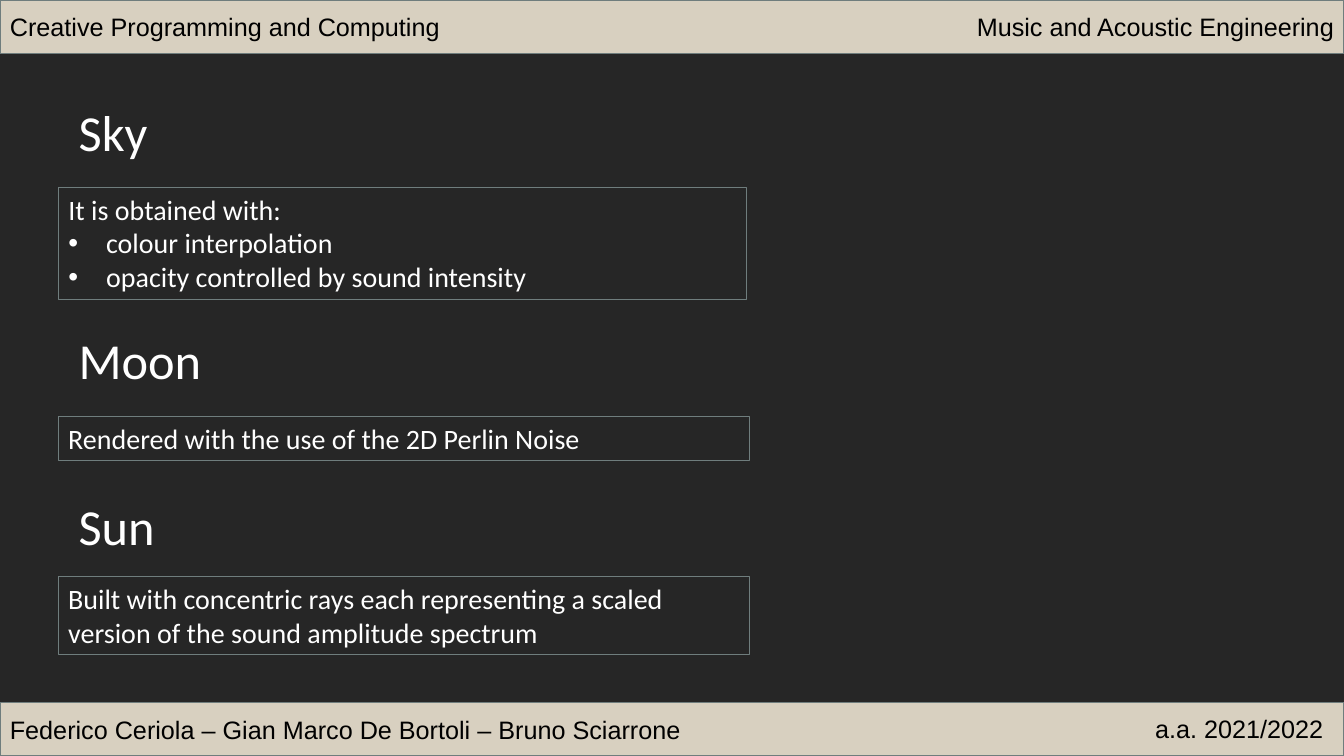
from lxml import etree
from pptx import Presentation
from pptx.dml.color import RGBColor
from pptx.enum.shapes import MSO_SHAPE
from pptx.enum.text import MSO_ANCHOR, MSO_AUTO_SIZE, PP_ALIGN
from pptx.oxml.ns import qn
from pptx.util import Cm, Pt

RECTANGLE = MSO_SHAPE.RECTANGLE
TOP, MIDDLE = MSO_ANCHOR.TOP, MSO_ANCHOR.MIDDLE
LEFT, RIGHT = PP_ALIGN.LEFT, PP_ALIGN.RIGHT
NO_AUTOFIT = MSO_AUTO_SIZE.NONE

DARK = RGBColor(0x26, 0x26, 0x26)
SAND = RGBColor(0xD8, 0xD0, 0xC0)
GREY = RGBColor(0x6F, 0x7D, 0x7D)
BLACK = RGBColor(0x00, 0x00, 0x00)
WHITE = RGBColor(0xFF, 0xFF, 0xFF)

SLIDE_WIDTH, SLIDE_HEIGHT = 33.87, 19.05
BAR_HEIGHT = 1.35
INDENT = Cm(0.95)


def write_text(shape, lines, font="Calibri", size=20, color=WHITE,
               align=LEFT, anchor=TOP, wrap=True):
    """Fill the shape with lines; those starting with "•" become bullets."""
    frame = shape.text_frame
    frame.auto_size = NO_AUTOFIT
    frame.word_wrap = wrap
    frame.vertical_anchor = anchor
    for index, line in enumerate(lines):
        paragraph = frame.paragraphs[0] if index == 0 else frame.add_paragraph()
        properties = paragraph._p.get_or_add_pPr()
        if line.startswith("•"):
            properties.set("marL", str(INDENT))
            properties.set("indent", str(-INDENT))
            etree.SubElement(properties, qn("a:buFont"), typeface="Arial")
            etree.SubElement(properties, qn("a:buChar"), char="•")
        else:
            properties.set("marL", "0")
            properties.set("indent", "0")
            etree.SubElement(properties, qn("a:buNone"))
        paragraph.alignment = align
        paragraph.space_before = Pt(0)
        run = paragraph.add_run()
        run.text = line.lstrip("• ")
        run.font.name = font
        run.font.size = Pt(size)
        run.font.color.rgb = color


def place(shape, left, top, width, height):
    shape.left, shape.top = Cm(left), Cm(top)
    shape.width, shape.height = Cm(width), Cm(height)


presentation = Presentation()
presentation.slide_width = Cm(SLIDE_WIDTH)
presentation.slide_height = Cm(SLIDE_HEIGHT)
slide = presentation.slides.add_slide(presentation.slide_layouts[1])
slide.background.fill.solid()
slide.background.fill.fore_color.rgb = DARK
shapes = slide.shapes

# Header and footer: bar top, left text, right text with its box
bars = [
    (SLIDE_HEIGHT - BAR_HEIGHT,
     "Federico Ceriola – Gian Marco De Bortoli – Bruno Sciarrone",
     "a.a. 2021/2022", (28.75, 17.86, 4.85, 1.02)),
    (0, "Creative Programming and Computing",
     "Music and Acoustic Engineering", (24.05, 0.15, 9.82, 1.02)),
]
for top, left_text, right_text, right_box in bars:
    bar = shapes.add_shape(RECTANGLE, Cm(0), Cm(top), Cm(SLIDE_WIDTH), Cm(BAR_HEIGHT))
    bar.shadow.inherit = False
    bar.fill.solid()
    bar.fill.fore_color.rgb = SAND
    bar.line.color.rgb = GREY
    bar.line.width = Pt(1)
    write_text(bar, [left_text], font="Arial", size=18, color=BLACK, anchor=MIDDLE)
    label = shapes.add_textbox(*(Cm(length) for length in right_box))
    write_text(label, [right_text], font="Arial", size=18, color=BLACK,
               align=RIGHT, wrap=False)

# Sections: heading, heading top and width, box top, width and height, lines
sections = [
    ("Sky", 2.41, 2.26, 4.72, 17.35, 2.82,
     ["It is obtained with:", "• colour interpolation",
      "• opacity controlled by sound intensity"]),
    ("Moon", 8.18, 3.63, 10.49, 17.42, 1.12,
     ["Rendered with the use of the 2D Perlin Noise"]),
    ("Sun", 12.34, 2.44, 14.53, 17.42, 1.96,
     ["Built with concentric rays each representing a scaled version "
      "of the sound amplitude spectrum"]),
]
for number, section in enumerate(sections):
    title, title_top, title_width, box_top, box_width, box_height, lines = section
    if number == 0:
        heading, box = shapes.title, slide.placeholders[1]
    else:
        heading = shapes.add_textbox(0, 0, 0, 0)
        box = shapes.add_textbox(0, 0, 0, 0)
    place(heading, 1.73, title_top, title_width, 1.8)
    write_text(heading, [title], size=36, wrap=False)
    place(box, 1.47, box_top, box_width, box_height)
    box.line.color.rgb = GREY
    box.line.width = Pt(0.75)
    write_text(box, lines)

presentation.save("out.pptx")
